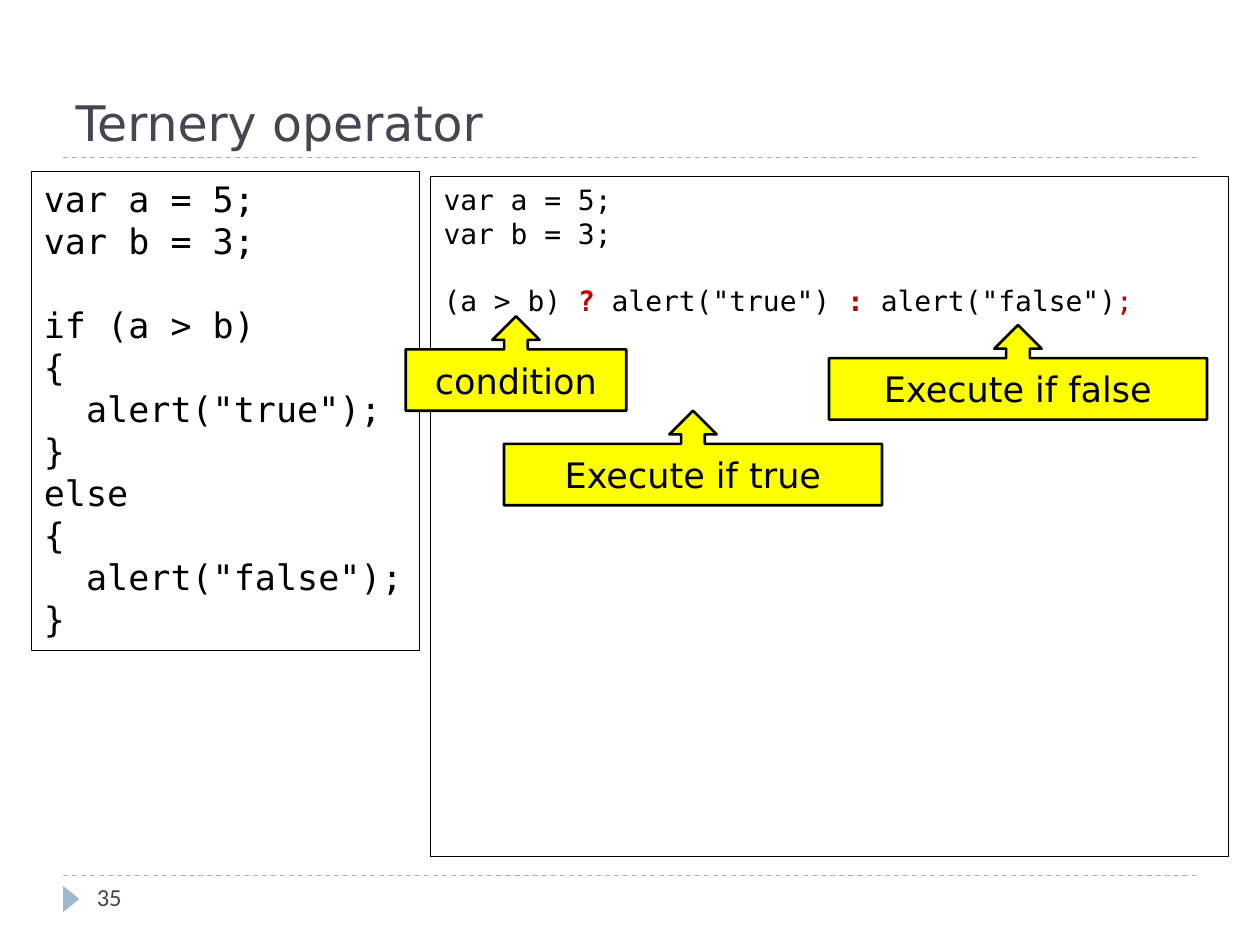
from pptx import Presentation
from pptx.dml.color import RGBColor
from pptx.enum.dml import MSO_LINE
from pptx.enum.shapes import MSO_CONNECTOR, MSO_SHAPE
from pptx.enum.text import MSO_ANCHOR, MSO_AUTO_SIZE, PP_ALIGN
from pptx.oxml.ns import qn
from pptx.util import Inches, Pt

SANS, MONO, NUMBER = "DejaVu Sans", "DejaVu Sans Mono", "Calibri"
INK, BLACK, RED, YELLOW, BLUE = "464653", "000000", "C00000", "FFFF00", "9FB8CD"

IF_ELSE = [
    "var a = 5;", "var b = 3;", "", "if (a > b)", "{", '  alert("true");',
    "}", "else", "{", '  alert("false");', "}",
]
TERNARY = [
    "var a = 5;", "var b = 3;", "",
    [("(a > b) ", {}), ("? ", {"color": RED, "bold": True}),
     ('alert("true") ', {}), (": ", {"color": RED, "bold": True}),
     ('alert("false")', {}), (";", {"color": RED})],
]
CALLOUTS = [
    ("condition", 3.22, 2.51, 1.75),
    ("Execute if true", 4, 3.26, 3),
    ("Execute if false", 6.58, 2.58, 3),
]


def rgb(value):
    """Turn a hex string into a colour."""
    return RGBColor.from_string(value)


def add_text(p, text, size=20, font=SANS, color=BLACK, bold=False):
    """Append a formatted run to a paragraph."""
    r = p.add_run()
    r.text = text
    r.font.size, r.font.name, r.font.bold = Pt(size), font, bold
    r.font.color.rgb = rgb(color)


class Deck:
    """Hold the style and the current slide."""

    def __init__(self):
        """Start a one-slide presentation."""
        self.prs = Presentation()
        self.prs.slide_width, self.prs.slide_height = Inches(10), Inches(7.5)
        self.s = self.prs.slides.add_slide(self.prs.slide_layouts[1])

    def place(self, sp, x, y, w, h):
        """Set the position and size of a shape."""
        sp.left, sp.top, sp.width, sp.height = map(Inches, (x, y, w, h))

    def shape(self, kind, x, y, w, h, fill, line=None):
        """Add a flat preset shape."""
        sp = self.s.shapes.add_shape(kind, *map(Inches, (x, y, w, h)))
        sp.shadow.inherit = False
        sp.fill.solid()
        sp.fill.fore_color.rgb = rgb(fill)
        if line:
            sp.line.color.rgb, sp.line.width = rgb(line), Pt(1.5)
        else:
            sp.line.fill.background()
        return sp

    def rule(self, y):
        """Add a dashed line across the slide."""
        sp = self.s.shapes.add_connector(
            MSO_CONNECTOR.STRAIGHT, Inches(0.5), Inches(y), Inches(9.5), Inches(y))
        sp.line.color.rgb, sp.line.width = rgb(BLUE), Pt(0.75)
        sp.line.dash_style = MSO_LINE.DASH
        sp._element.spPr.append(sp._element.makeelement(qn("a:effectLst"), {}))

    def title(self, text):
        """Fill the title placeholder."""
        sp = self.s.shapes.title
        self.place(sp, 0.5, 0.25, 9, 1)
        tf = sp.text_frame
        tf.auto_size, tf.vertical_anchor = MSO_AUTO_SIZE.NONE, MSO_ANCHOR.BOTTOM
        tf.paragraphs[0].alignment = PP_ALIGN.LEFT
        add_text(tf.paragraphs[0], text, size=28, color=INK)

    def code(self, sp, lines, size):
        """Write a code listing in an outlined box."""
        sp.line.color.rgb, sp.line.width = rgb(BLACK), Pt(0.5)
        tf = sp.text_frame
        tf.word_wrap, tf.auto_size = True, MSO_AUTO_SIZE.NONE
        pitch, gap = Pt(size * 1.2), Pt(0)
        for i, line in enumerate(lines):
            if not line:
                gap = pitch
                continue
            p = tf.add_paragraph() if i else tf.paragraphs[0]
            p.line_spacing, p.space_before, p.space_after = pitch, gap, Pt(0)
            gap = Pt(0)
            pPr = p._p.get_or_add_pPr()
            pPr.set("marL", "0")
            pPr.set("indent", "0")
            pPr.append(pPr.makeelement(qn("a:buNone"), {}))
            for text, style in [(line, {})] if isinstance(line, str) else line:
                add_text(p, text, size=size, font=MONO, **style)

    def body(self, lines):
        """Put a listing in the body placeholder."""
        sp = self.s.placeholders[1]
        self.place(sp, 3.42, 1.4, 6.33, 5.4)
        self.code(sp, lines, 16)

    def box(self, x, y, w, h):
        """Add an empty text box."""
        return self.s.shapes.add_textbox(*map(Inches, (x, y, w, h)))

    def callout(self, text, x, y, w):
        """Add a yellow label that points up."""
        sp = self.shape(MSO_SHAPE.UP_ARROW_CALLOUT, x, y, w, 0.75, YELLOW, BLACK)
        tf = sp.text_frame
        tf.word_wrap, tf.vertical_anchor = True, MSO_ANCHOR.MIDDLE
        tf.paragraphs[0].alignment = PP_ALIGN.CENTER
        add_text(tf.paragraphs[0], text)

    def footer(self, number):
        """Add the slide number and its marker."""
        sp = self.shape(MSO_SHAPE.ISOSCELES_TRIANGLE, 0.46, 7.07, 0.21, 0.13, BLUE)
        sp.rotation = 90
        tf = self.box(0.67, 6.95, 2.17, 0.4).text_frame
        tf.word_wrap = True
        add_text(tf.paragraphs[0], number, size=14, font=NUMBER, color=INK)


def main():
    """Build the slide and save it."""
    deck = Deck()
    for y in (1.25, 6.95):
        deck.rule(y)
    deck.title("Ternery operator")
    deck.body(TERNARY)
    deck.code(deck.box(0.25, 1.36, 3.08, 3.8), IF_ELSE, 20)
    for callout in CALLOUTS:
        deck.callout(*callout)
    deck.footer("35")
    deck.prs.save("out.pptx")


if __name__ == "__main__":
    main()
